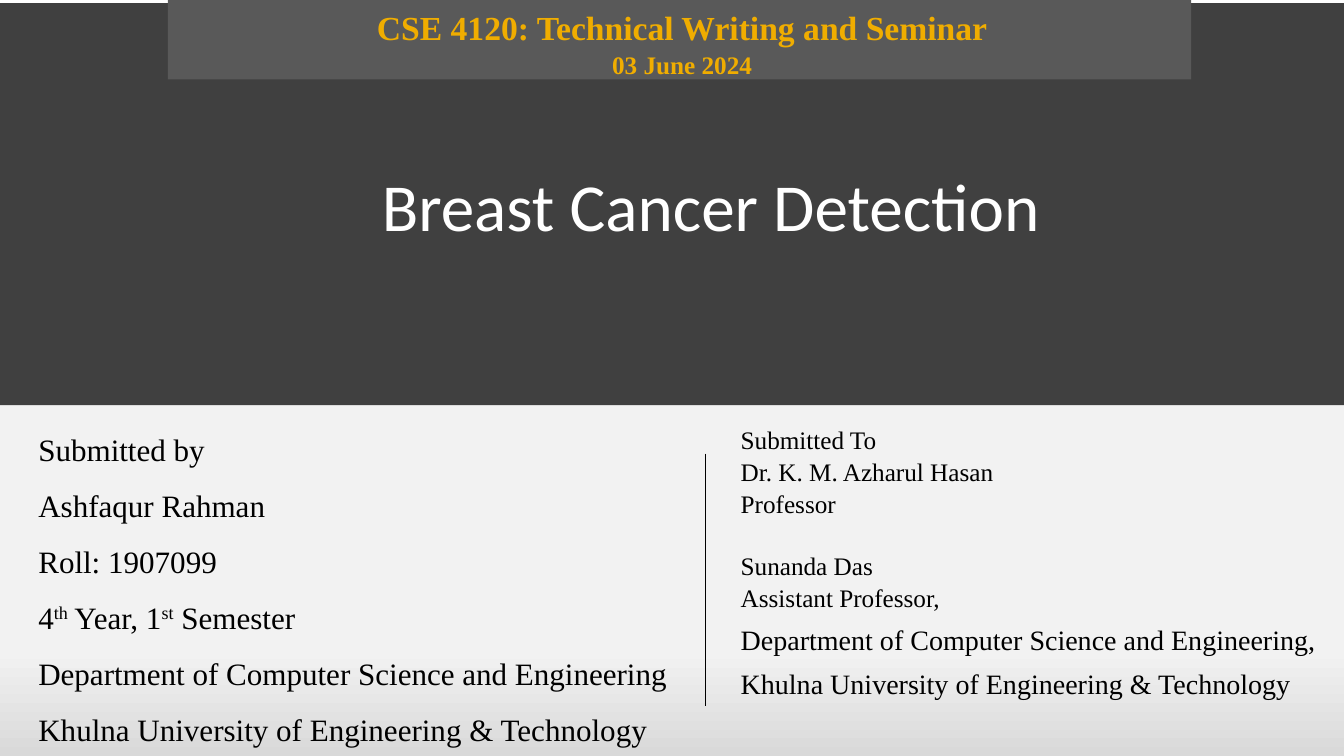
import pptx
import pptx.dml.color
import pptx.enum.dml
import pptx.enum.shapes
import pptx.enum.text
import pptx.oxml
import pptx.util

COLUMNS, ROWS = 40, 30
WIDTH, HEIGHT = pptx.util.Inches(13.33), pptx.util.Inches(7.5)
SERIF, SANS = "Times New Roman", "Calibri"
COLORS = {
    "white": "FFFFFF",
    "band": "404040",
    "header": "595959",
    "gold": "F0AD00",
    "ink": "000000",
    "paper": "F2F2F2",
    "shade": "D9D9D9",
}
LEFT = pptx.enum.text.PP_ALIGN.LEFT
CENTER = pptx.enum.text.PP_ALIGN.CENTER
TOP = pptx.enum.text.MSO_ANCHOR.TOP
BOTTOM = pptx.enum.text.MSO_ANCHOR.BOTTOM


def color(name):
    return pptx.dml.color.RGBColor.from_string(COLORS[name])


def grid(left, top, width, height):
    return (
        round(left * WIDTH / COLUMNS),
        round(top * HEIGHT / ROWS),
        round(width * WIDTH / COLUMNS),
        round(height * HEIGHT / ROWS),
    )


def place(shape, box):
    shape.left, shape.top, shape.width, shape.height = grid(*box)


def prepare_frame(shape, margins, anchor=TOP):
    frame = shape.text_frame
    frame.word_wrap = True
    frame.auto_size = pptx.enum.text.MSO_AUTO_SIZE.NONE
    frame.vertical_anchor = anchor
    frame.margin_left, frame.margin_top, frame.margin_right, frame.margin_bottom = (
        pptx.util.Inches(margin) for margin in margins
    )
    return frame


def write(frame, text, size=18, font=SERIF, ink="ink", bold=False, align=LEFT,
          before=0, after=0, spacing=1.05):
    paragraph = frame.paragraphs[0]
    if paragraph.runs:
        paragraph = frame.add_paragraph()
    paragraph.alignment = align
    paragraph.line_spacing = spacing
    paragraph.space_before = pptx.util.Pt(before)
    paragraph.space_after = pptx.util.Pt(after)
    for index, part in enumerate(text.split("^")):
        run = paragraph.add_run()
        run.text = part
        run.font.size = pptx.util.Pt(size)
        run.font.name = font
        run.font.bold = bold
        run.font.color.rgb = color(ink)
        if index % 2:
            run.font._element.set("baseline", "30000")


def paint_background(slide):
    fill = slide.background.fill
    fill.gradient()
    fill.gradient_angle = 270
    for stop, position, name in zip(fill.gradient_stops, (0.86, 1), ("paper", "shade")):
        stop.position = position
        stop.color.rgb = color(name)


def add_band(slide, box, fill):
    band = slide.shapes.add_shape(pptx.enum.shapes.MSO_SHAPE.RECTANGLE, *grid(*box))
    band.shadow.inherit = False
    band.fill.solid()
    band.fill.fore_color.rgb = color(fill)
    band.line.fill.background()
    slide.shapes.title.element.addprevious(band.element)


def add_course_header(slide, box):
    header = slide.shapes.title
    place(header, box)
    header.fill.solid()
    header.fill.fore_color.rgb = color("header")
    frame = prepare_frame(header, (0.1, 0, 0.05, 0), BOTTOM)
    write(frame, "CSE 4120: Technical Writing and Seminar", size=24, ink="gold",
          bold=True, align=CENTER)
    write(frame, "03 June 2024", ink="gold", bold=True, align=CENTER)


def add_topic(slide, box):
    topic = slide.shapes.add_textbox(*grid(*box))
    frame = prepare_frame(topic, (0.1, 0.05, 0.1, 0.05))
    write(frame, "Breast Cancer Detection", size=48, font=SANS, ink="white", spacing=1)


def add_author(slide, box):
    author = slide.placeholders[1]
    place(author, box)
    frame = prepare_frame(author, (0.13, 0, 0.05, 0))
    for text in (
        "Submitted by",
        "Ashfaqur Rahman",
        "Roll: 1907099",
        "4^th^ Year, 1^st^ Semester",
        "Department of Computer Science and Engineering",
        "Khulna University of Engineering & Technology",
    ):
        write(frame, text, size=22.2, before=6, after=6)


def add_supervisors(slide, box):
    supervisors = slide.shapes.add_textbox(*grid(*box))
    frame = prepare_frame(supervisors, (0.1, 0.05, 0.1, 0.05))
    for text, size, before in (
        ("Submitted To", 18, 0),
        ("Dr. K. M. Azharul Hasan", 18, 0),
        ("Professor", 18, 0),
        ("Sunanda Das", 18, 21.7),
        ("Assistant Professor,", 18, 0),
        ("Department of Computer Science and Engineering,", 20, 6),
        ("Khulna University of Engineering & Technology", 20, 6),
    ):
        write(frame, text, size=size, before=before)


def add_divider(slide, box):
    left, top, width, height = grid(*box)
    divider = slide.shapes.add_connector(
        pptx.enum.shapes.MSO_CONNECTOR.STRAIGHT, left, top, left + width, top + height
    )
    divider.line.color.rgb = color("ink")
    divider.line.width = pptx.util.Pt(0.5)
    divider.element.spPr.append(pptx.oxml.parse_xml(
        '<a:effectLst xmlns:a="http://schemas.openxmlformats.org/drawingml/2006/main"/>'
    ))


def build_title_slide(presentation):
    slide = presentation.slides.add_slide(presentation.slide_layouts[0])
    paint_background(slide)
    add_band(slide, (0, 0, COLUMNS, 4.72), "white")
    add_band(slide, (0, 0.12, COLUMNS, 15.96), "band")
    add_course_header(slide, (5, 0, 30.45, 3.15))
    add_topic(slide, (11.07, 6.32, 24.4, 3.64))
    add_author(slide, (0.75, 17, 20.25, 11.56))
    add_divider(slide, (21, 18, 0, 10))
    add_supervisors(slide, (21.75, 16.6, 18, 12.24))


def main():
    presentation = pptx.Presentation()
    presentation.slide_width, presentation.slide_height = WIDTH, HEIGHT
    build_title_slide(presentation)
    presentation.save("out.pptx")


if __name__ == "__main__":
    main()
